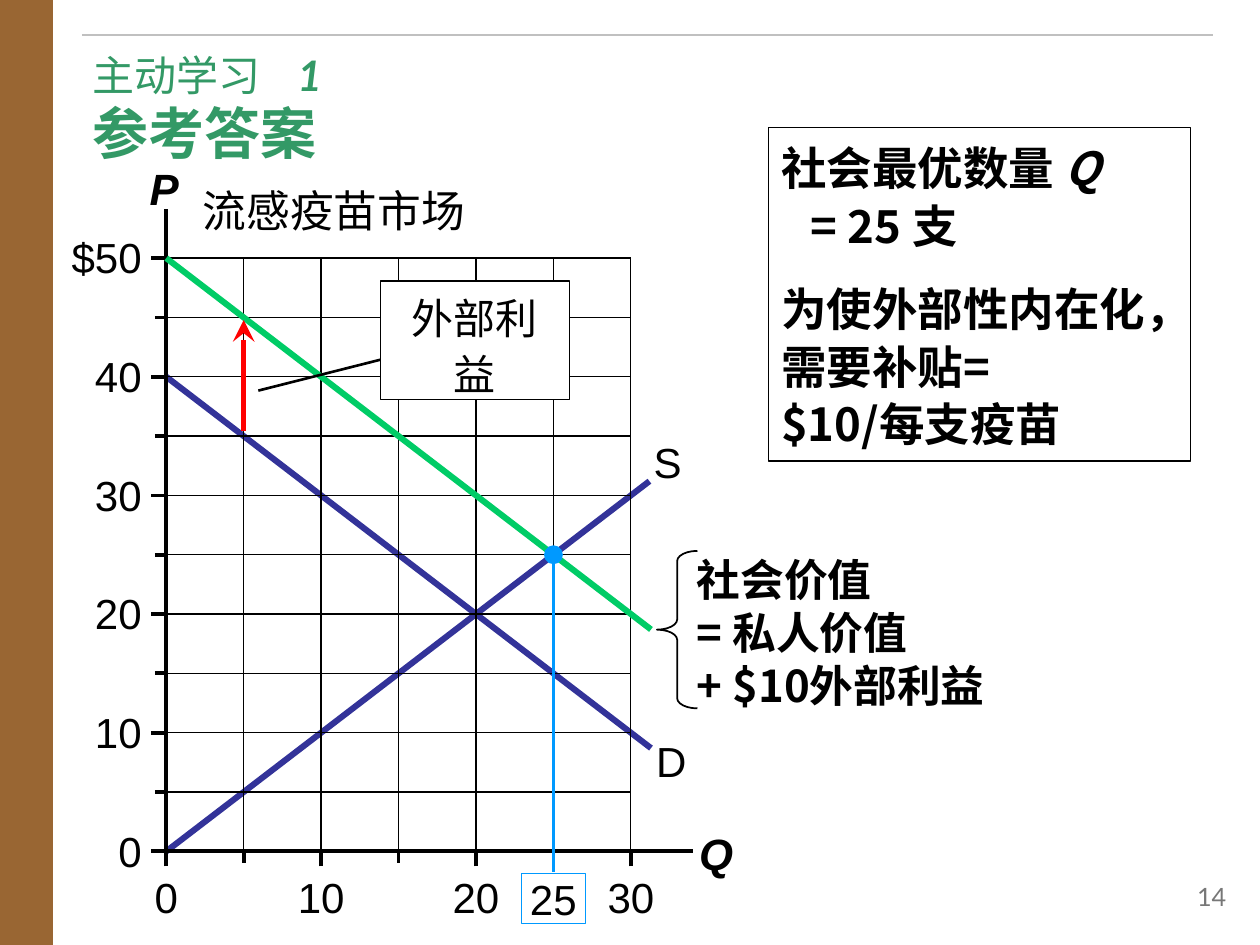
import pptx
import pptx.dml.color
import pptx.enum.shapes
import pptx.enum.text
import pptx.oxml
import pptx.oxml.ns
import pptx.util
from dataclasses import dataclass

Pt = pptx.util.Pt
Shape = pptx.enum.shapes.MSO_SHAPE
Align = pptx.enum.text.PP_ALIGN
Anchor = pptx.enum.text.MSO_ANCHOR


@dataclass(frozen=True)
class Theme:
    black: str = "000000"
    white: str = "FFFFFF"
    brown: str = "996633"
    green: str = "339966"
    rule: str = "C0C0C0"
    muted: str = "777777"
    navy: str = "333399"
    social: str = "00CC66"
    red: str = "FF0000"
    blue: str = "0099FF"
    sans: str = "Arial"
    chinese: str = "Noto Sans CJK SC"
    heading: str = "Lato"
    display: str = "Vollkorn"
    title: float = 32
    answer: float = 26
    note: float = 25
    label: float = 24
    number: float = 14.4
    thin: float = 0.75
    axis: float = 2.13
    curve: float = 3.5


THEME = Theme()
ORIGIN_X, ORIGIN_Y = 95, 486.5
STEP_X, STEP_Y = 8.85, 6.78
MAX_Q, MAX_P = 30, 50


def at_q(quantity):
    return ORIGIN_X + STEP_X * quantity


def at_p(price):
    return ORIGIN_Y - STEP_Y * price


def color(value):
    return pptx.dml.color.RGBColor.from_string(value)


def add_xml(parent, tag, **attributes):
    child = pptx.oxml.parse_xml(f"<a:{tag} {pptx.oxml.ns.nsdecls('a')}/>")
    for name, value in attributes.items():
        child.set(name, str(value))
    parent.append(child)
    return child


def add_line(page, start, end, ink=THEME.black, width=THEME.thin, arrow=False):
    line = page.shapes.add_connector(
        pptx.enum.shapes.MSO_CONNECTOR.STRAIGHT, *map(Pt, (*start, *end)))
    line.line.color.rgb = color(ink)
    line.line.width = Pt(width)
    if arrow:
        add_xml(line.line._get_or_add_ln(), "tailEnd", type="stealth", w="lg", len="lg")
    add_xml(line._element.spPr, "effectLst")
    return line


def add_shape(page, kind, frame, fill=None, ink=None, width=THEME.thin):
    shape = page.shapes.add_shape(kind, *map(Pt, frame))
    shape.shadow.inherit = False
    if fill:
        shape.fill.solid()
        shape.fill.fore_color.rgb = color(fill)
    else:
        shape.fill.background()
    if ink:
        shape.line.color.rgb = color(ink)
        shape.line.width = Pt(width)
    else:
        shape.line.fill.background()
    return shape


def set_frame(box, margins=(7.2, 3.6), anchor=Anchor.TOP, wrap=True):
    frame = box.text_frame
    frame.auto_size = pptx.enum.text.MSO_AUTO_SIZE.NONE
    frame.word_wrap = wrap
    frame.margin_left = frame.margin_right = Pt(margins[0])
    frame.margin_top = frame.margin_bottom = Pt(margins[1])
    frame.vertical_anchor = anchor
    return frame


def add_span(para, text, size=THEME.label, font=THEME.sans, ink=THEME.black,
             bold=False, italic=False):
    span = para.add_run()
    span.text = text
    span.font.size = Pt(size)
    span.font.name = font
    span.font.color.rgb = color(ink)
    span.font.bold = bold
    span.font.italic = italic


def add_label(page, frame, text, align=Align.LEFT, margins=(7.2, 3.6), spacing=None, **style):
    box = page.shapes.add_textbox(*map(Pt, frame))
    para = set_frame(box, margins, wrap=False).paragraphs[0]
    para.alignment = align
    if spacing:
        para.line_spacing = spacing
    add_span(para, text, **style)


def add_lines(para, lines, **style):
    for index, text in enumerate(lines):
        if index:
            para.add_line_break()
        add_span(para, text, **style)


def add_title(page):
    title = page.shapes.title
    title.left, title.top, title.width, title.height = map(Pt, (45.4, 25.2, 646.6, 69.8))
    para = set_frame(title, (7.2, 0), Anchor.BOTTOM).paragraphs[0]
    para.alignment = Align.LEFT
    para.line_spacing = Pt(38)
    tabs = add_xml(para._p.get_or_add_pPr(), "tabLst")
    add_xml(tabs, "tab", pos=Pt(117.5), algn="l")
    add_span(para, "主动学习\t", font=THEME.heading, ink=THEME.green)
    add_span(para, "1", font=THEME.heading, ink=THEME.green, bold=True, italic=True)
    para.add_line_break()
    add_span(para, "参考答案", THEME.title, THEME.display, THEME.green, bold=True)


def add_answer(page):
    box = add_shape(page, Shape.RECTANGLE, (439.2, 72.7, 241.2, 190.8), THEME.white, THEME.black)
    frame = set_frame(box, anchor=Anchor.MIDDLE)
    style = dict(size=THEME.answer, font=THEME.chinese, bold=True)
    optimum, subsidy = frame.paragraphs[0], frame.add_paragraph()
    for para in (optimum, subsidy):
        para.alignment = Align.LEFT
        para.line_spacing = Pt(32.9)
    subsidy.space_before = Pt(14.6)
    hanging = optimum._p.get_or_add_pPr()
    hanging.set("marL", str(Pt(17)))
    hanging.set("indent", str(Pt(-17)))
    add_span(optimum, "社会最优数量 ", **style)
    add_span(optimum, "Q", italic=True, **style)
    optimum.add_line_break()
    add_span(optimum, "= 25 支", **style)
    add_lines(subsidy, ("为使外部性内在化，需要补贴=", "$10/每支疫苗"), **style)


def add_curve(page, intercept, slope, end, ink):
    add_line(page, (at_q(0), at_p(intercept)),
             (at_q(end), at_p(intercept + slope * end)), ink, THEME.curve)


def add_axes(page):
    for price in range(0, MAX_P + 1, 5):
        y, major = at_p(price), price % 10 == 0
        if price:
            add_line(page, (ORIGIN_X, y), (at_q(MAX_Q), y))
        add_line(page, (ORIGIN_X - (8.6 if major else 6.5), y), (ORIGIN_X, y), width=THEME.axis)
        if major:
            text = f"${price}" if price == MAX_P else str(price)
            add_label(page, (36, y - 15, 45, 28.8), text, Align.RIGHT, (0, 0))
    for quantity in range(0, MAX_Q + 1, 5):
        x, major = at_q(quantity), quantity % 10 == 0
        if quantity:
            add_line(page, (x, at_p(MAX_P)), (x, ORIGIN_Y))
        add_line(page, (x, ORIGIN_Y + (8.6 if major else 6.5)), (x, ORIGIN_Y), width=THEME.axis)
        if major:
            add_label(page, (x - 20, 498.2, 40, 28.8), str(quantity), Align.CENTER, (0, 0))
    add_line(page, (ORIGIN_X, 119.5), (ORIGIN_X, ORIGIN_Y), width=THEME.axis)
    add_line(page, (ORIGIN_X, ORIGIN_Y), (396, ORIGIN_Y), width=THEME.axis)
    for text, left, top in (("P", 78.5, 88.6), ("Q", 392.4, 468.7)):
        add_label(page, (left, top, 33, 37.4), text, size=THEME.note, bold=True, italic=True)


def add_social_value(page):
    add_curve(page, 50, -1, 31.3, THEME.social)
    brace = add_shape(page, Shape.LEFT_BRACE, (375.4, 314.8, 23.2, 90), ink=THEME.black, width=1)
    brace.adjustments[0] = 0.25
    box = page.shapes.add_textbox(*map(Pt, (398.2, 315.4, 262.8, 90)))
    para = set_frame(box, (0, 0)).paragraphs[0]
    para.line_spacing = Pt(30.3)
    add_lines(para, ("社会价值", "= 私人价值", "+ $10外部利益"),
              size=THEME.note, font=THEME.chinese, bold=True)


def add_external_benefit(page):
    x = at_q(5)
    add_line(page, (x, 246.2), (x, 182.9), THEME.red, 2.5, arrow=True)
    add_line(page, (147.6, 223.2), (227.5, 203), width=1.5)
    box = add_shape(page, Shape.RECTANGLE, (217.4, 160.6, 108, 67.7), THEME.white, THEME.black)
    para = set_frame(box).paragraphs[0]
    para.alignment = Align.CENTER
    para.line_spacing = Pt(32)
    add_span(para, "外部利益")


def add_optimum(page):
    x, y = at_q(25), at_p(25)
    add_line(page, (x, 498.2), (x, y), THEME.blue, 1.5)
    add_shape(page, Shape.OVAL, (x - 5.4, y - 5.4, 10.8, 10.8), THEME.blue)
    add_shape(page, Shape.RECTANGLE, (x - 18.4, 499, 36.8, 28.8), ink=THEME.blue)
    add_label(page, (x - 20.5, 495.4, 41, 36), "25", Align.CENTER)


def main():
    deck = pptx.Presentation()
    deck.slide_width, deck.slide_height = Pt(720), Pt(540)
    page = deck.slides.add_slide(deck.slide_layouts[5])
    add_shape(page, Shape.RECTANGLE, (0, 0, 30.2, 540), THEME.brown)
    add_title(page)
    add_line(page, (46.8, 20.2), (693.4, 20.2), THEME.rule, 1)
    add_label(page, (653.8, 501.8, 54, 28.8), "14", Align.RIGHT, spacing=0.9,
              size=THEME.number, font=THEME.heading, ink=THEME.muted)
    add_answer(page)
    add_label(page, (108.7, 100.1, 164.2, 37.4), "流感疫苗市场", spacing=Pt(31.5), size=THEME.note)
    add_curve(page, 40, -1, 31.3, THEME.navy)
    add_curve(page, 0, 1, 31.2, THEME.navy)
    add_label(page, (367.9, 416.9, 32.4, 36), "D")
    add_label(page, (366.5, 246.2, 31, 36), "S")
    add_axes(page)
    add_social_value(page)
    add_external_benefit(page)
    add_optimum(page)
    deck.save("out.pptx")


if __name__ == "__main__":
    main()
